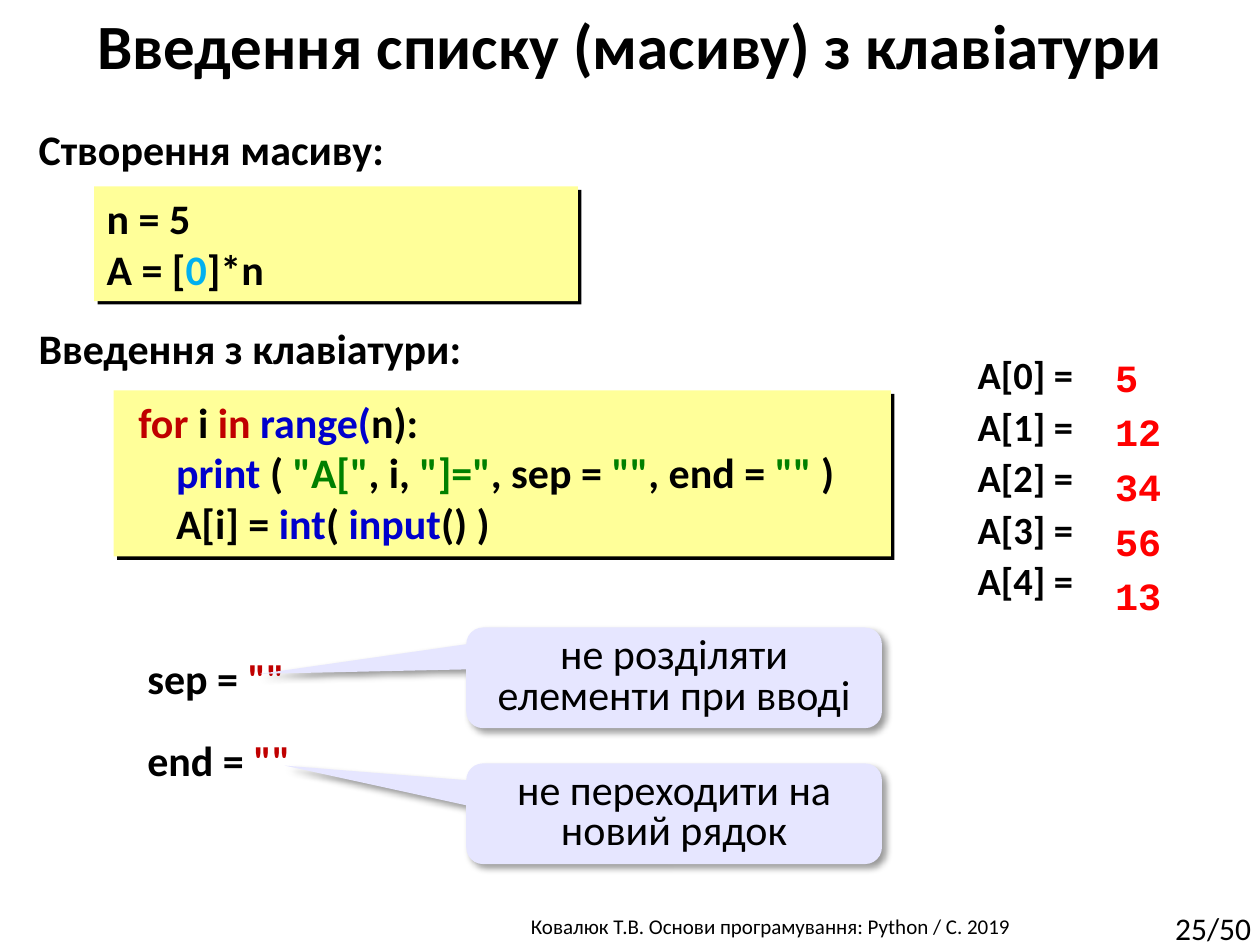
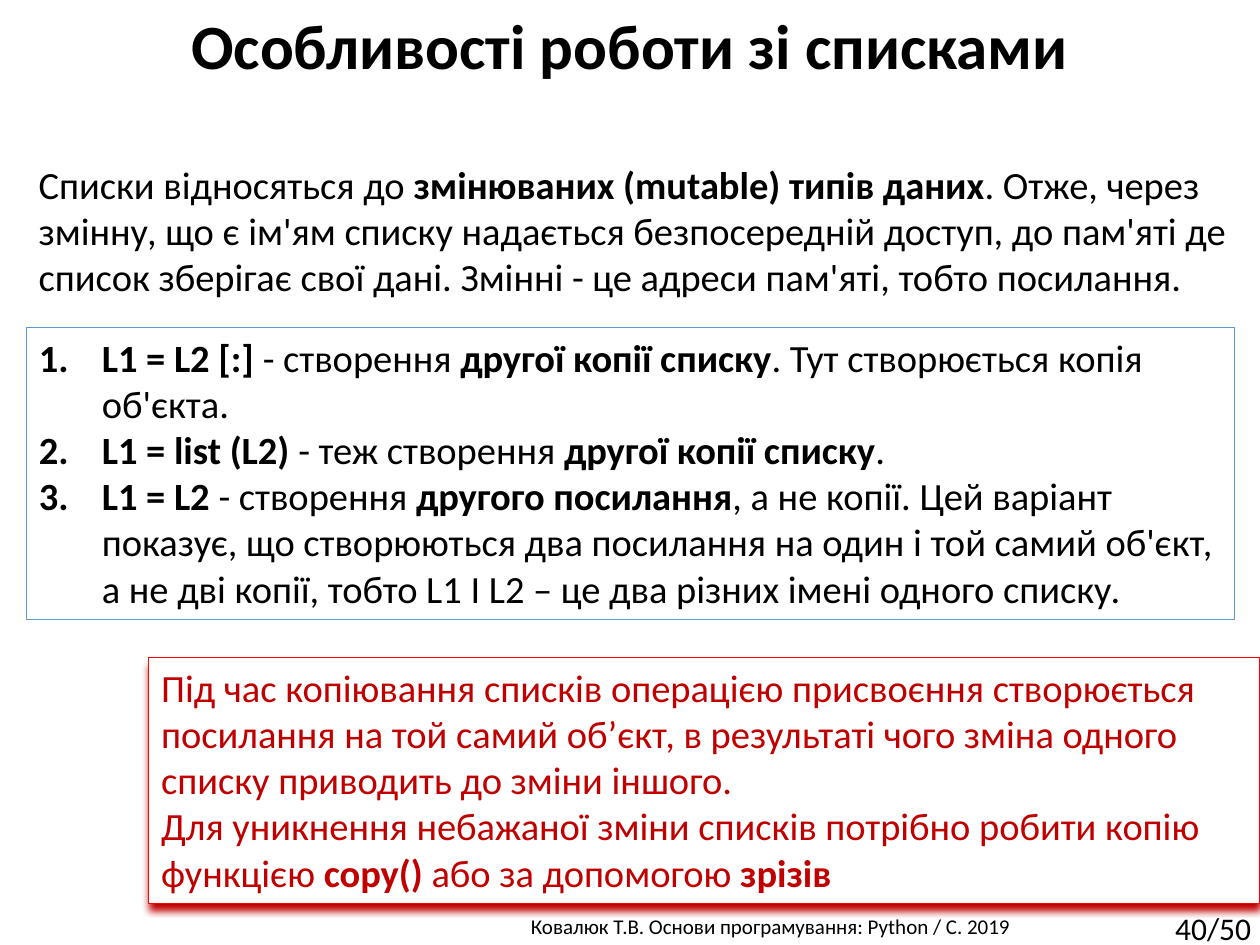
"""Build two lecture slides about entering and copying Python lists."""
import lxml.etree
import pptx
import pptx.dml.color
import pptx.enum.shapes
import pptx.enum.text
import pptx.oxml.ns
import pptx.util

Cm, Pt = pptx.util.Cm, pptx.util.Pt
SHAPE = pptx.enum.shapes.MSO_SHAPE
ALIGN = pptx.enum.text.PP_ALIGN
ANCHOR = pptx.enum.text.MSO_ANCHOR
qn = pptx.oxml.ns.qn

BLACK, RED, DARK_RED = "000000", "FF0000", "C00000"
CYAN, BLUE, GREEN = "00B0F0", "0000CC", "008000"
YELLOW, LILAC, WHITE, FRAME = "FFFF99", "E6E6FF", "FFFFFF", "5B9BD5"
CODE_SHADOW = (BLACK, 100, 0, 2.8, 45)
CALLOUT_SHADOW = (BLACK, 40, 4, 3, 45)
WARNING_SHADOW = (DARK_RED, 100, 4, 4, 90)


def color(code):
    """Turn a hex string into a colour."""
    return pptx.dml.color.RGBColor.from_string(code)


def write(box, place, lines, size=24, ink=BLACK, bold=False, family="Calibri",
          align=ALIGN.LEFT, anchor=ANCHOR.TOP, wrap=True):
    """Place a box and fill it; a span is a string or (text, ink, bold)."""
    box.left, box.top, box.width, box.height = map(Cm, place)
    frame = box.text_frame
    frame.word_wrap = wrap
    frame.auto_size = pptx.enum.text.MSO_AUTO_SIZE.NONE
    frame.vertical_anchor = anchor
    for index, spans in enumerate(lines):
        para = frame.add_paragraph() if index else frame.paragraphs[0]
        para.alignment = align
        para.space_before = Pt(0)
        para.font.name = family
        para.font.size = Pt(size)
        para.font.bold = bold
        para.font.color.rgb = color(ink)
        for span in spans:
            run = para.add_run()
            if isinstance(span, str):
                run.text = span
            else:
                run.text, run_ink, run.font.bold = span
                run.font.color.rgb = color(run_ink)
    return box


deck = pptx.Presentation()
deck.slide_width, deck.slide_height = Cm(25.4), Cm(19.05)

pages = []
for layout, heading, number in [
    (5, "Введення списку (масиву) з клавіатури", "25/50"),
    (1, "Особливості роботи зі списками", "40/50"),
]:
    page = deck.slides.add_slide(deck.slide_layouts[layout])
    write(page.shapes.title, (0, 0, 25.4, 1.8), [[heading]], 36, bold=True, align=ALIGN.CENTER)
    write(page.shapes.add_textbox(0, 0, 0, 0), (8.36, 18.29, 14.45, 0.76),
          [["Ковалюк Т.В. Основи програмування: Python / C. 2019 "]], 12, align=ALIGN.CENTER)
    write(page.shapes.add_textbox(0, 0, 0, 0), (23.44, 18.21, 2.16, 1.02),
          [[number]], 18, wrap=False)
    pages.append(page)
input_page, copy_page = pages
panels = []

for place, spans in [
    ((0.53, 2.36, 13.28, 3.84), ["Створення масиву:"]),
    ((0.53, 6.38, 9.12, 1.27), ["Введення з клавіатури:"]),
    ((2.72, 13.03, 3.3, 1.27), ["sep = ", ('""', DARK_RED, True)]),
    ((2.72, 14.68, 3.61, 1.27), ["end = ", ('"" ', DARK_RED, True)]),
]:
    write(input_page.shapes.add_textbox(0, 0, 0, 0), place, [spans], bold=True, wrap=False)

creation_code = [["n = 5"], ["A = [", ("0", CYAN, True), "]*n"]]
input_code = [
    [("for ", DARK_RED, True), "i ", ("in ", DARK_RED, True), ("range(", BLUE, True), "n):"],
    [("print ", BLUE, True), "( ", ('"A["', GREEN, True), ", i, ", ('"]="', GREEN, True),
     ", sep = ", ('""', GREEN, True), ", end = ", ('""', GREEN, True), " )"],
    ["A[i] = ", ("int", BLUE, True), "( ", ("input", BLUE, True), "() )"],
]
for place, lines, indents in [
    ((1.9, 3.76, 9.75, 2.31), creation_code, (0, 0)),
    ((2.29, 7.87, 15.67, 3.35), input_code, (0.25, 1.01, 1.01)),
]:
    box = input_page.shapes.add_shape(SHAPE.RECTANGLE, 0, 0, 0, 0)
    write(box, place, lines, bold=True)
    for para, indent in zip(box.text_frame.paragraphs, indents):
        para._p.get_or_add_pPr().set("marL", str(Cm(indent)))
    panels.append((box, YELLOW, None, CODE_SHADOW))

values = ["5", "12", "34", "56", "13"]
for place, lines, ink, family, gap in [
    ((19.46, 6.96, 3.15, 5.54), [[f"A[{i}] = "] for i in range(len(values))],
     BLACK, "Calibri", 3),
    ((22.23, 7.01, 1.6, 5.54), [[value] for value in values], RED, "Courier New", 4.8),
]:
    box = input_page.shapes.add_textbox(0, 0, 0, 0)
    write(box, place, lines, 22, ink, True, family)
    for para in box.text_frame.paragraphs:
        para.space_before = Pt(gap)

for top, text, tip in [
    (12.65, "не розділяти елементи при вводі", (-0.996, -0.039)),
    (15.39, "не переходити на новий рядок", (-0.937, -0.478)),
]:
    callout = input_page.shapes.add_shape(SHAPE.ROUNDED_RECTANGULAR_CALLOUT, 0, 0, 0, 0)
    write(callout, (9.4, top, 8.38, 2.03), [[text]], align=ALIGN.CENTER, anchor=ANCHOR.MIDDLE)
    callout.adjustments[0], callout.adjustments[1] = tip
    callout.text_frame.paragraphs[0].line_spacing = 0.8
    panels.append((callout, LILAC, None, CALLOUT_SHADOW))

write(copy_page.shapes.add_textbox(0, 0, 0, 0), (0.53, 3.12, 24.87, 3.18), [[
    "Списки відносяться до ", ("змінюваних (mutable) типів даних", BLACK, True),
    ". Отже, через змінну, що є ім'ям списку надається безпосередній доступ, до пам'яті де "
    "список зберігає свої дані. Змінні - це адреси пам'яті, тобто посилання.",
]], 22)

copy_ways = [
    ("L1 = L2 [:] ", "- створення ", "другої копії списку",
     ". Тут створюється копія об'єкта."),
    ("L1 = list (L2) ", "- теж створення ", "другої копії списку", "."),
    ("L1 = L2 ", "- створення ", "другого посилання",
     ", а не копії. Цей варіант показує, що створюються два посилання на один і той самий "
     "об'єкт, а не дві копії, тобто L1 I L2 – це два різних імені одного списку."),
]
ways = copy_page.placeholders[1]
write(ways, (0.53, 6.6, 24.36, 5.89),
      [[(code, BLACK, True), action, (result, BLACK, True), note]
       for code, action, result, note in copy_ways], 22)
ways.line.color.rgb = color(FRAME)
ways.line.width = Pt(0.75)
for para in ways.text_frame.paragraphs:
    settings = para._p.get_or_add_pPr()
    settings.set("marL", str(Cm(1.27)))
    settings.set("indent", str(-Cm(1.27)))
    defaults = settings.find(qn("a:defRPr"))
    defaults.addprevious(settings.makeelement(qn("a:buFontTx"), {}))
    defaults.addprevious(settings.makeelement(qn("a:buAutoNum"), {"type": "arabicPeriod"}))

warning = copy_page.shapes.add_shape(SHAPE.RECTANGLE, 0, 0, 0, 0)
write(warning, (3, 13.26, 22.4, 4.95), [
    ["Під час копіювання списків операцією присвоєння створюється посилання на той самий "
     "об’єкт, в результаті чого зміна одного списку приводить до зміни іншого. "],
    ["Для уникнення небажаної зміни списків потрібно робити копію функцією ",
     ("copy() ", DARK_RED, True), "або за допомогою ", ("зрізів", DARK_RED, True)],
], 22, DARK_RED)
panels.append((warning, WHITE, RED, WARNING_SHADOW))

for panel, fill, outline, (shade, opacity, blur, distance, angle) in panels:
    panel.fill.solid()
    panel.fill.fore_color.rgb = color(fill)
    if outline:
        panel.line.color.rgb = color(outline)
        panel.line.width = Pt(0.75)
    else:
        panel.line.fill.background()
    panel.shadow.inherit = False
    effects = panel._element.spPr.find(qn("a:effectLst"))
    shadow = lxml.etree.SubElement(effects, qn("a:outerShdw"), {
        "blurRad": str(Pt(blur)), "dist": str(Pt(distance)), "dir": str(angle * 60000),
        "algn": "ctr", "rotWithShape": "0"})
    tint = lxml.etree.SubElement(shadow, qn("a:srgbClr"), val=shade)
    lxml.etree.SubElement(tint, qn("a:alpha"), val=str(opacity * 1000))

deck.save("out.pptx")
